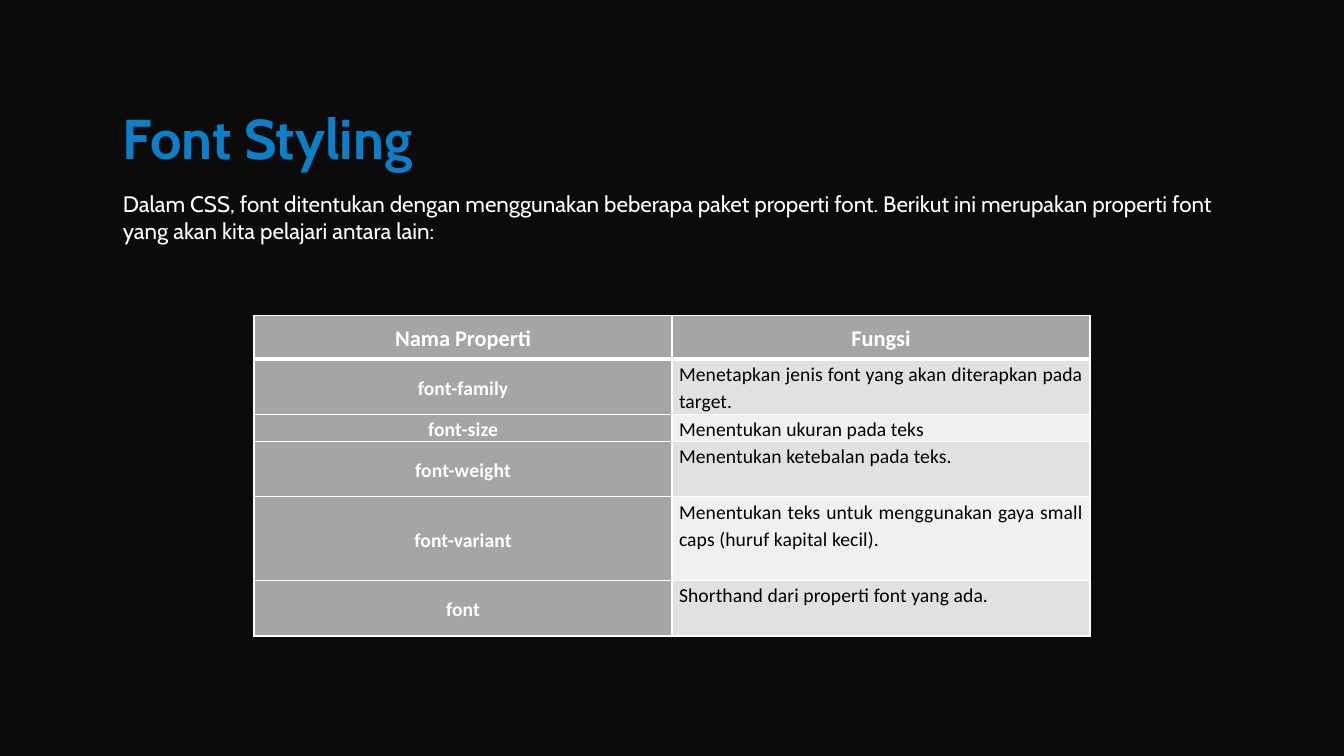
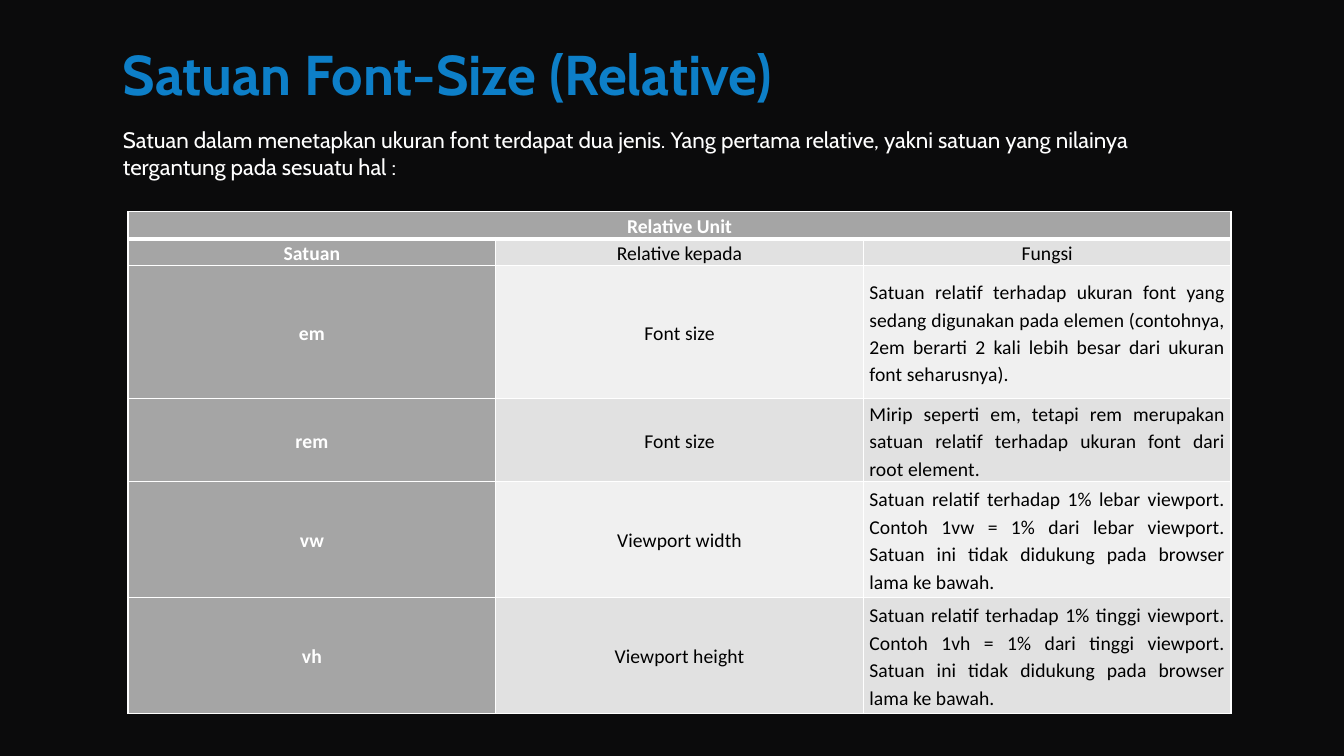
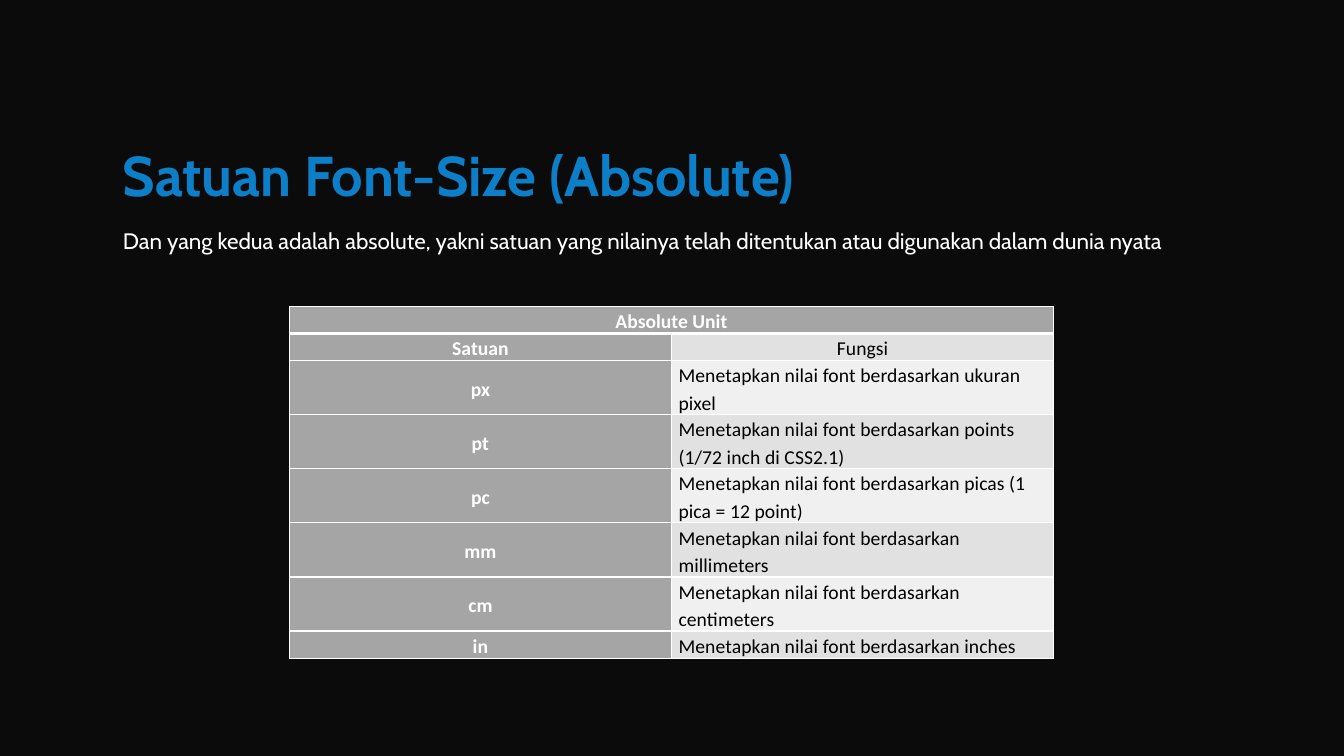
import dataclasses

import lxml.etree
import pptx
import pptx.dml.color
import pptx.enum.text
import pptx.oxml.ns
import pptx.slide
import pptx.table
import pptx.text.text
import pptx.util

Inches = pptx.util.Inches
Pt = pptx.util.Pt
Align = pptx.enum.text.PP_ALIGN
Anchor = pptx.enum.text.MSO_ANCHOR

COLORS = {
    "background": "0B0B0C",
    "title": "0D7FC8",
    "light": "FFFFFF",
    "dark": "000000",
    "label": "A5A5A5",
    "odd_row": "E1E1E1",
    "even_row": "F0F0F0",
}
TITLE_FONT = {"name": "Cabin", "size": Pt(40), "bold": True}
INTRO_FONT = {"name": "Cabin", "size": Pt(16), "bold": False}
TEXT_LEFT = 1.12
INTRO_WIDTH = 11.08
LINE_SPACING = 1.15
LETTER_SPACING = "5"
THIN, THICK = Pt(1), Pt(3)


@dataclasses.dataclass(frozen=True)
class PropertyTable:
    left: float
    top: float
    width: float
    heights: list[float]
    rows: list[list[str]]
    header_size: int = 14
    side_margin: float = 0.07
    detail_align: Align = Align.JUSTIFY
    detail_anchor: Anchor = Anchor.MIDDLE


@dataclasses.dataclass(frozen=True)
class Topic:
    title: str
    title_top: float
    title_width: float
    intro: str
    intro_top: float
    intro_height: float
    table: PropertyTable


TOPICS = [
    Topic(
        "Font Styling", 0.98, 3.3,
        "Dalam CSS, font ditentukan dengan menggunakan beberapa paket properti font. "
        "Berikut ini merupakan properti font yang akan kita pelajari antara lain:",
        1.84, 0.64,
        PropertyTable(
            2.52, 3.13, 8.29,
            [0.43, 0.55, 0.27, 0.55, 0.83, 0.55],
            [
                ["Nama Properti", "Fungsi"],
                ["font-family", "Menetapkan jenis font yang akan diterapkan pada target."],
                ["font-size", "Menentukan ukuran pada teks"],
                ["font-weight", "Menentukan ketebalan pada teks."],
                ["font-variant", "Menentukan teks untuk menggunakan gaya small caps (huruf kapital kecil)."],
                ["font", "Shorthand dari properti font yang ada."],
            ],
            header_size=16,
            detail_anchor=Anchor.TOP,
        ),
    ),
    Topic(
        "Satuan Font-Size (Relative)", 0.34, 7.22,
        "Satuan dalam menetapkan ukuran font terdapat dua jenis. Yang pertama relative, "
        "yakni satuan yang nilainya tergantung pada sesuatu hal :",
        1.2, 0.64,
        PropertyTable(
            1.27, 2.1, 10.94,
            [0.26, 0.26, 1.32, 0.82, 1.15, 1.15],
            [
                ["Relative Unit"],
                ["Satuan", "Relative kepada", "Fungsi"],
                ["em", "Font size",
                 "Satuan relatif terhadap ukuran font yang sedang digunakan pada elemen "
                 "(contohnya, 2em berarti 2 kali lebih besar dari ukuran font seharusnya)."],
                ["rem", "Font size",
                 "Mirip seperti em, tetapi rem merupakan satuan relatif terhadap ukuran font "
                 "dari root element."],
                ["vw", "Viewport width",
                 "Satuan relatif terhadap 1% lebar viewport. Contoh 1vw = 1% dari lebar viewport. "
                 "Satuan ini tidak didukung pada browser lama ke bawah."],
                ["vh", "Viewport height",
                 "Satuan relatif terhadap 1% tinggi viewport. Contoh 1vh = 1% dari tinggi viewport. "
                 "Satuan ini tidak didukung pada browser lama ke bawah."],
            ],
            side_margin=0.06,
        ),
    ),
    Topic(
        "Satuan Font-Size (Absolute)", 1.35, 7.45,
        "Dan yang kedua adalah absolute, yakni satuan yang nilainya telah ditentukan "
        "atau digunakan dalam dunia nyata",
        2.2, 0.37,
        PropertyTable(
            2.87, 3.04, 7.58,
            [0.26, 0.26] + [0.53] * 5 + [0.26],
            [
                ["Absolute Unit"],
                ["Satuan", "Fungsi"],
                ["px", "Menetapkan nilai font berdasarkan ukuran pixel"],
                ["pt", "Menetapkan nilai font berdasarkan points (1/72 inch di CSS2.1)"],
                ["pc", "Menetapkan nilai font berdasarkan picas (1 pica = 12 point)"],
                ["mm", "Menetapkan nilai font berdasarkan millimeters"],
                ["cm", "Menetapkan nilai font berdasarkan centimeters"],
                ["in", "Menetapkan nilai font berdasarkan inches"],
            ],
            detail_align=Align.LEFT,
        ),
    ),
]


def color(name: str) -> pptx.dml.color.RGBColor:
    return pptx.dml.color.RGBColor.from_string(COLORS[name])


def apply(target: object, values: dict) -> None:
    for name, value in values.items():
        setattr(target, name, value)


def add_span(para: pptx.text.text._Paragraph, text: str, font: dict, color_name: str) -> pptx.text.text._Run:
    span = para.add_run()
    span.text = text
    apply(span.font, font)
    span.font.color.rgb = color(color_name)
    return span


def add_text(page: pptx.slide.Slide, text: str, top: float, width: float, height: float,
             font: dict, color_name: str, wrap: bool) -> None:
    box = page.shapes.add_textbox(Inches(TEXT_LEFT), Inches(top), Inches(width), Inches(height))
    apply(box.text_frame, {
        "word_wrap": wrap,
        "auto_size": pptx.enum.text.MSO_AUTO_SIZE.SHAPE_TO_FIT_TEXT,
    })
    add_span(box.text_frame.paragraphs[0], text, font, color_name)


def add_borders(cell: pptx.table._Cell, top: int, bottom: int) -> None:
    properties = cell._tc.get_or_add_tcPr()
    qn = pptx.oxml.ns.qn
    for side, width in {"L": THIN, "R": THIN, "T": top, "B": bottom}.items():
        line = lxml.etree.SubElement(properties, qn(f"a:ln{side}"), w=str(int(width)))
        fill = lxml.etree.SubElement(line, qn("a:solidFill"))
        lxml.etree.SubElement(fill, qn("a:srgbClr"), val=COLORS["light"])


def style_cell(cell: pptx.table._Cell, row: int, column: int, margin: float) -> None:
    add_borders(cell, THICK if row == 1 else THIN, THICK if row == 0 else THIN)
    band = "odd_row" if row % 2 else "even_row"
    cell.fill.solid()
    cell.fill.fore_color.rgb = color("label" if row == 0 or column == 0 else band)
    apply(cell, {
        "margin_left": Inches(margin),
        "margin_right": Inches(margin),
        "margin_top": 0,
        "margin_bottom": 0,
        "vertical_anchor": Anchor.MIDDLE,
    })


def add_property_table(page: pptx.slide.Slide, layout: PropertyTable) -> None:
    column_count = len(layout.rows[-1])
    frame = page.shapes.add_table(
        len(layout.rows), column_count, Inches(layout.left), Inches(layout.top),
        Inches(layout.width), Inches(sum(layout.heights)))
    table = frame.table
    apply(table, {"first_row": False, "horz_banding": False})
    for column in table.columns:
        column.width = Inches(layout.width / column_count)
    first_detail = 1 if len(layout.rows[0]) == column_count else 2
    for row, (height, texts) in enumerate(zip(layout.heights, layout.rows)):
        table.rows[row].height = Inches(height)
        for column in range(column_count):
            style_cell(table.cell(row, column), row, column, layout.side_margin)
        if len(texts) < column_count:
            table.cell(row, 0).merge(table.cell(row, column_count - 1))
        for column, text in enumerate(texts):
            cell = table.cell(row, column)
            para = cell.text_frame.paragraphs[0]
            is_detail = row >= first_detail and column == column_count - 1
            if is_detail:
                cell.vertical_anchor = layout.detail_anchor
            apply(para, {
                "alignment": layout.detail_align if is_detail else Align.CENTER,
                "line_spacing": LINE_SPACING,
            })
            is_label = row == 0 or column == 0
            font = {
                "name": "Calibri",
                "size": Pt(layout.header_size if row == 0 else 14),
                "bold": is_label,
            }
            span = add_span(para, text, font, "light" if is_label else "dark")
            if row >= first_detail:
                span.font._element.set("spc", LETTER_SPACING)


def main() -> None:
    deck = pptx.Presentation()
    apply(deck, {"slide_width": Inches(13.33), "slide_height": Inches(7.5)})
    background = deck.slide_master.background.fill
    background.solid()
    background.fore_color.rgb = color("background")
    for topic in TOPICS:
        page = deck.slides.add_slide(deck.slide_layouts[6])
        add_text(page, topic.title, topic.title_top, topic.title_width, 0.77,
                 TITLE_FONT, "title", False)
        add_text(page, topic.intro, topic.intro_top, INTRO_WIDTH, topic.intro_height,
                 INTRO_FONT, "light", True)
        add_property_table(page, topic.table)
    deck.save("out.pptx")


if __name__ == "__main__":
    main()
